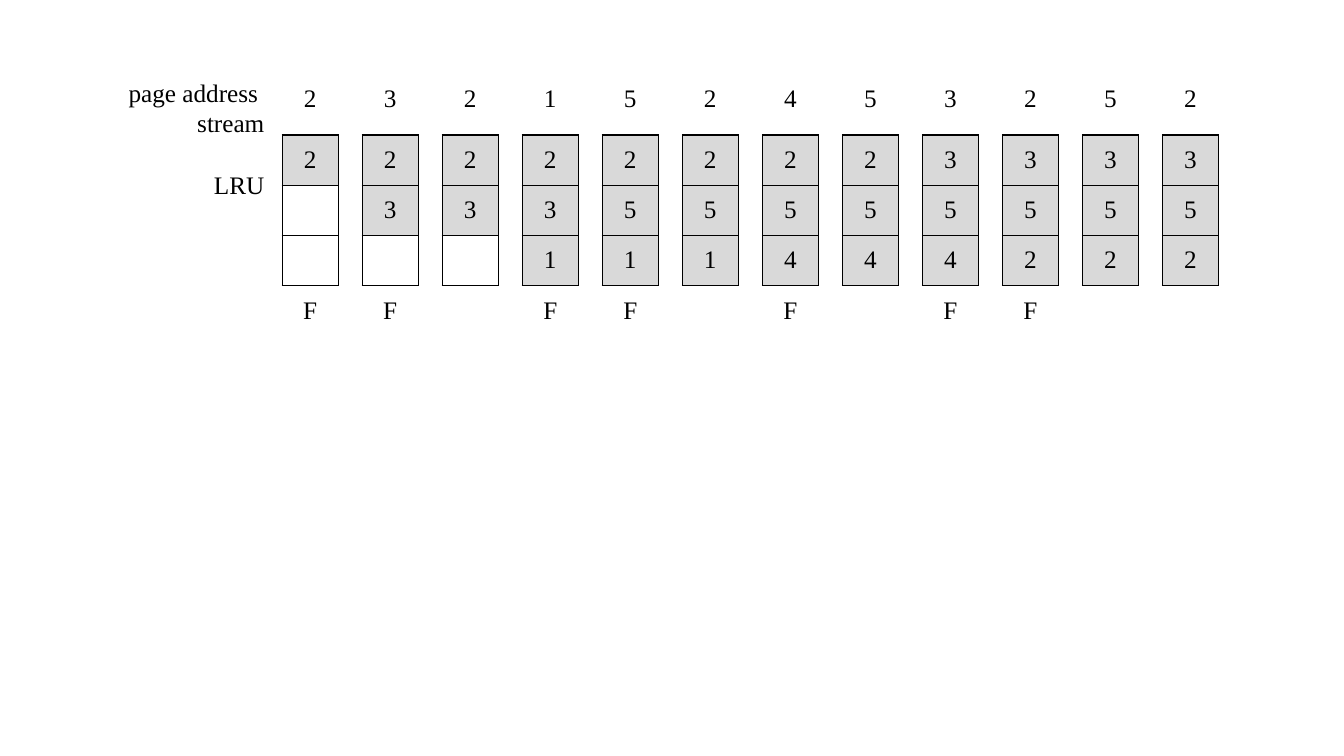
from lxml.etree import SubElement as Sub
from pptx import Presentation
from pptx.dml.color import RGBColor
from pptx.enum.text import MSO_ANCHOR as Anchor, PP_ALIGN as Align
from pptx.oxml.ns import qn
from pptx.util import Inches, Pt

STREAM = "232152453252"
FRAMES = ["222222223333", " 33355555555", "   111444222"]
FAULTS = "FF FF F FF  "


def color(code):
    """Return the colour for a hex string."""
    return RGBColor.from_string(code)


class Page:
    """Hold the style and the slide; lengths are percent of the slide's size."""

    font, size, ink, shade = "Times New Roman", Pt(18), "000000", "D9D9D9"

    def __init__(self, deck):
        """Add a blank slide to the deck."""
        self.wide, self.high = deck.slide_width, deck.slide_height
        self.slide = deck.slides.add_slide(deck.slide_layouts[6])

    def x(self, part):
        """Return a share of the width."""
        return round(self.wide * part / 100)

    def y(self, part):
        """Return a share of the height."""
        return round(self.high * part / 100)

    def text(self, para, words, align):
        """Add one styled run to a paragraph."""
        para.alignment = align
        run = para.add_run()
        run.text = words
        run.font.name, run.font.size = self.font, self.size
        run.font.color.rgb = color(self.ink)

    def label(self, left, top, width, height, lines):
        """Add a right-aligned label."""
        box = self.slide.shapes.add_textbox(
            self.x(left), self.y(top), self.x(width), self.y(height))
        frame = box.text_frame
        frame.word_wrap = True
        for i, line in enumerate(lines):
            para = frame.add_paragraph() if i else frame.paragraphs[0]
            self.text(para, line, Align.RIGHT)

    def edge(self, cell, sides):
        """Draw the named sides of a cell and clear the others."""
        props = cell._tc.get_or_add_tcPr()
        for side in "LRTB":
            line = Sub(props, qn("a:ln" + side), w=str(Pt(1)))
            if side in sides:
                fill = Sub(line, qn("a:solidFill"))
                Sub(fill, qn("a:srgbClr"), val=self.ink)
            else:
                Sub(line, qn("a:noFill"))

    def cell(self, cell, words, sides, anchor, shade):
        """Format and fill one table cell."""
        self.edge(cell, sides)
        cell.vertical_anchor = anchor
        if shade:
            cell.fill.solid()
            cell.fill.fore_color.rgb = color(self.shade)
        else:
            cell.fill.background()
        if words.strip():
            self.text(cell.text_frame.paragraphs[0], words, Align.CENTER)

    def trace(self, left, top, box, gap, head, row):
        """Add the table of page frames, with a gap between the steps."""
        rows = [STREAM, *FRAMES, FAULTS]
        last = len(rows) - 1
        wides = [gap if i % 2 else box for i in range(2 * len(STREAM) - 1)]
        highs = [head] + [row] * last
        table = self.slide.shapes.add_table(
            len(rows), len(wides), self.x(left), self.y(top),
            self.x(sum(wides)), self.y(sum(highs))).table
        table.first_row = table.horz_banding = False
        for col, wide in zip(table.columns, wides):
            col.width = self.x(wide)
        for r, (line, high) in enumerate(zip(rows, highs)):
            table.rows[r].height = self.y(high)
            inner = 0 < r < last
            sides = "LRTB" if inner else "T" if r else "B"
            anchor = Anchor.MIDDLE if r else Anchor.TOP
            for c in range(len(wides)):
                step, space = divmod(c, 2)
                words = "" if space else line[step]
                edges = ("LR" if inner else "") if space else sides
                shade = inner and words.strip()
                self.cell(table.cell(r, c), words, edges, anchor, shade)


def main():
    """Build and save the slide."""
    deck = Presentation()
    deck.slide_width, deck.slide_height = Inches(13.33), Inches(7.5)
    page = Page(deck)
    page.label(8.78, 9.6, 11.63, 9.47, ["page address ", "stream"])
    page.trace(21, 10.53, box=4.16, gap=1.77, head=7.33, row=6.64)
    page.label(12.98, 21.73, 7.43, 5.33, ["LRU"])
    deck.save("out.pptx")


if __name__ == "__main__":
    main()
